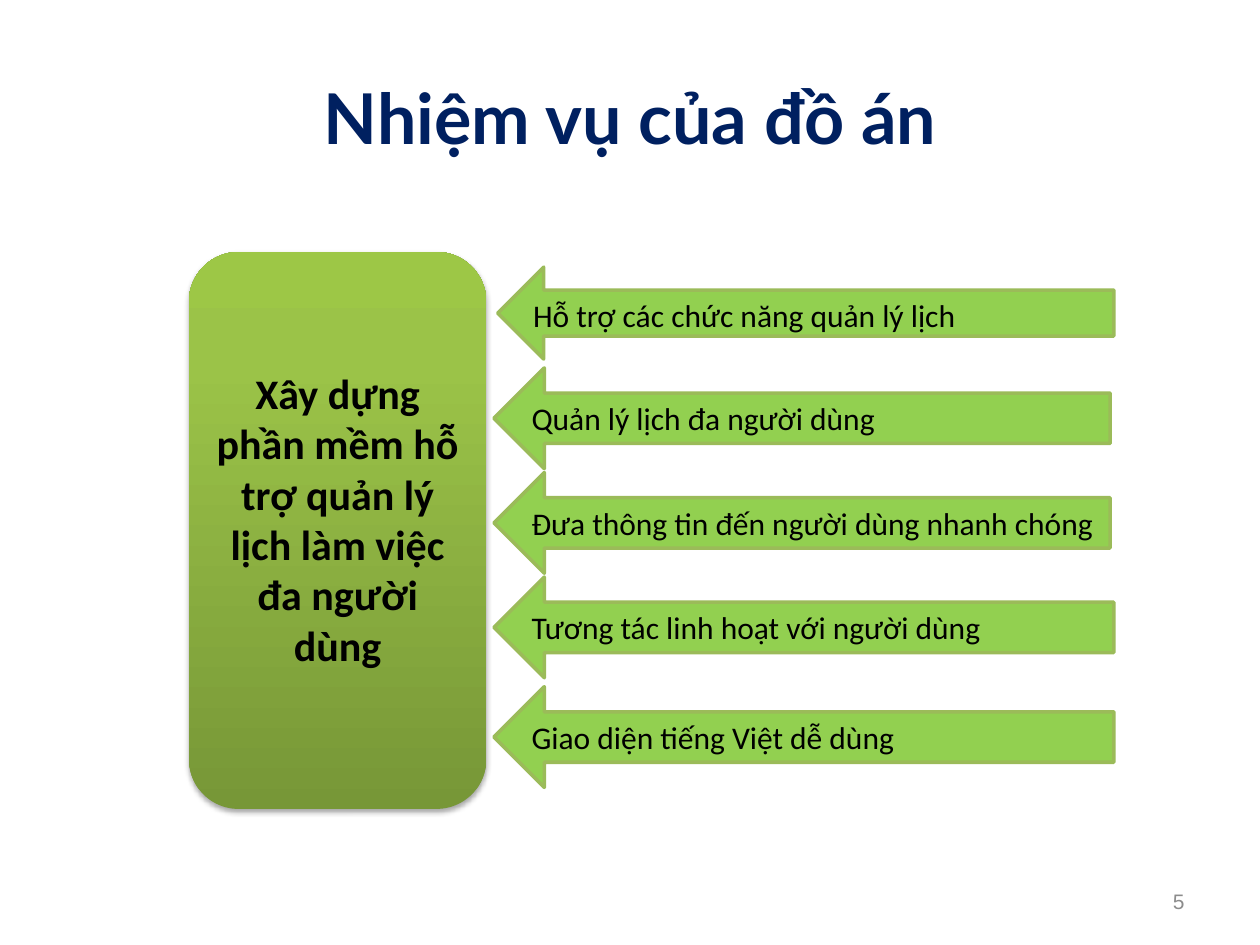
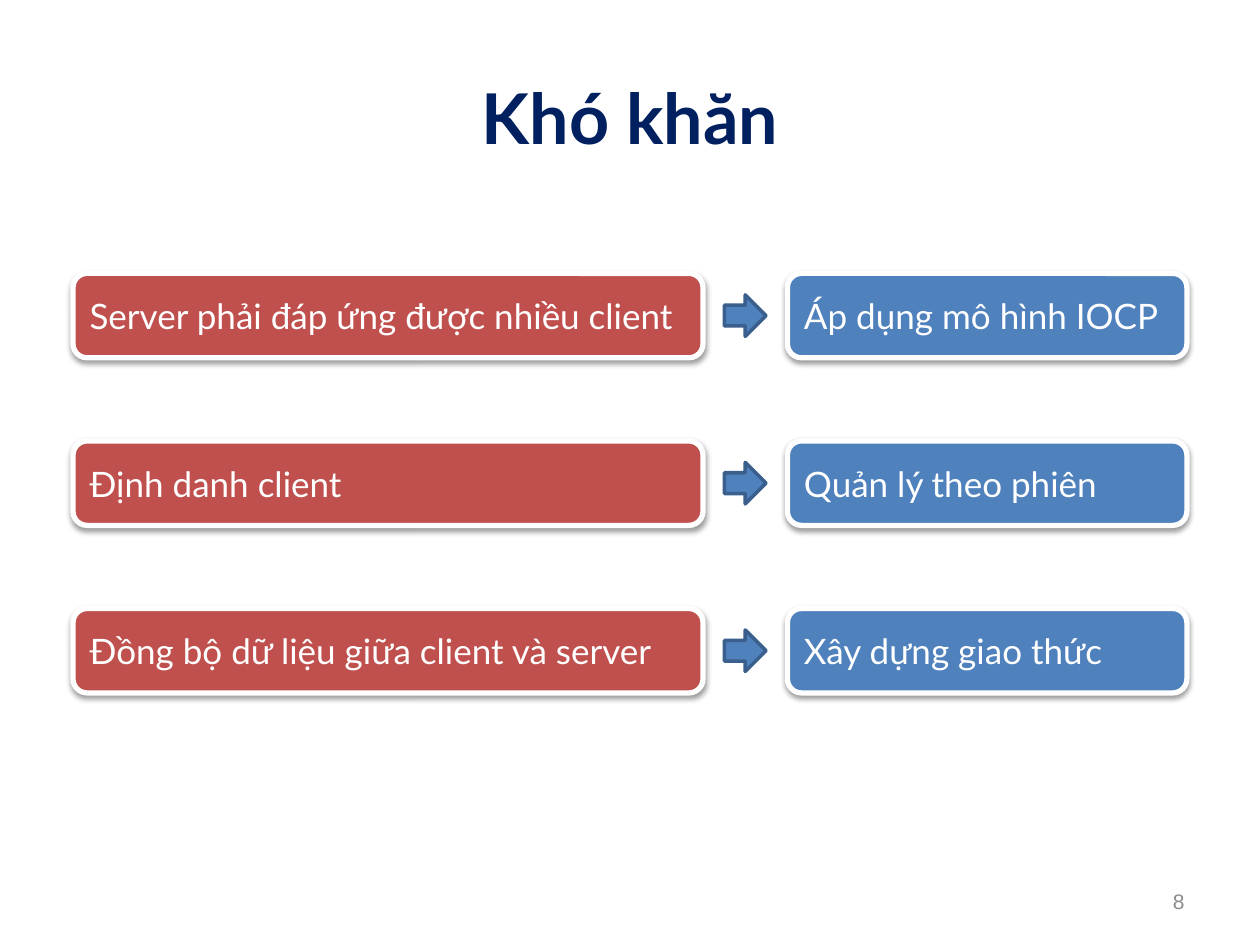
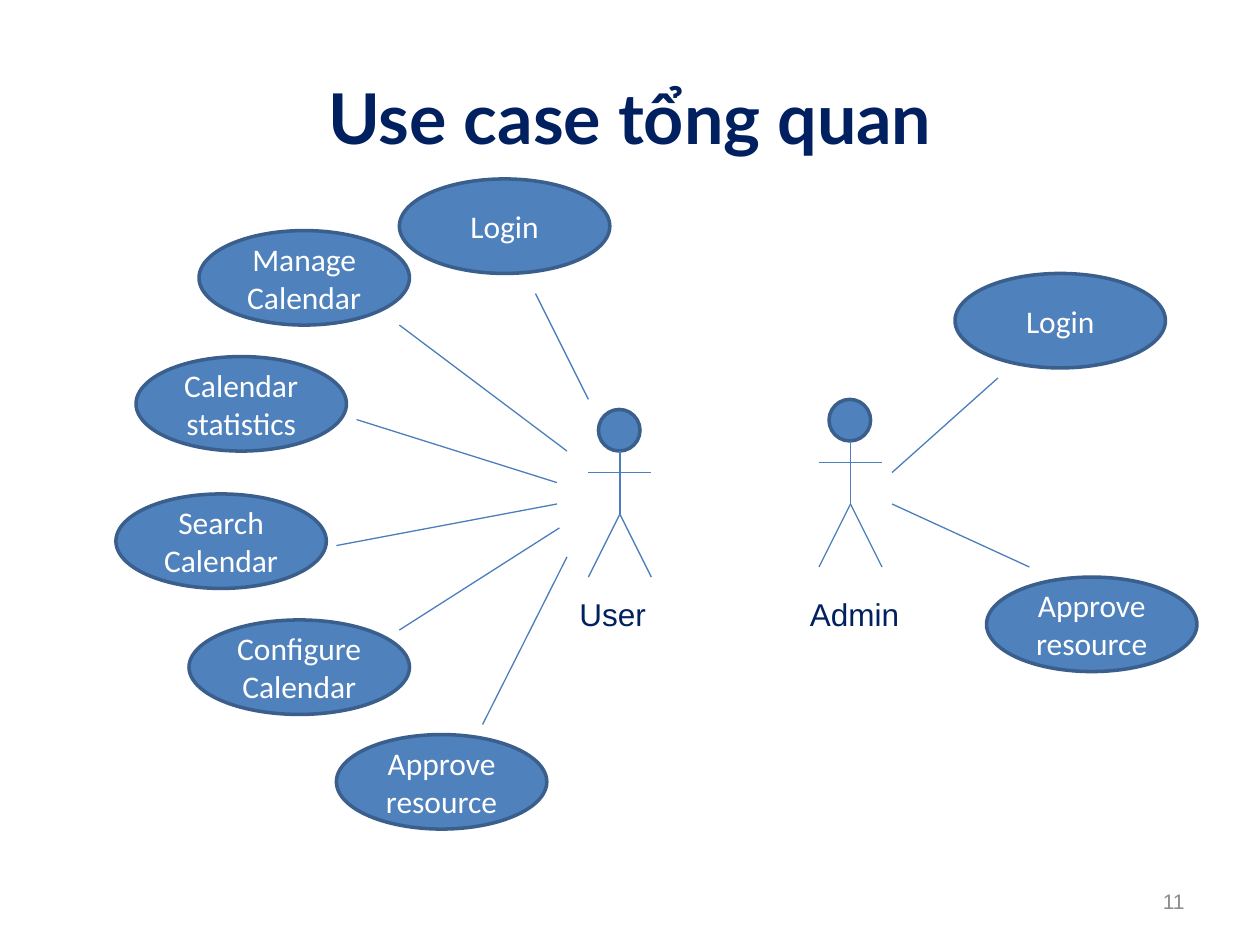
from copy import deepcopy
from dataclasses import dataclass
from typing import NamedTuple

from lxml.etree import SubElement
from pptx import Presentation
from pptx.dml.color import RGBColor
from pptx.enum.shapes import MSO_CONNECTOR, MSO_SHAPE
from pptx.enum.text import MSO_ANCHOR, PP_ALIGN
from pptx.oxml.ns import qn
from pptx.util import Inches, Pt

NAVY = RGBColor(0x00, 0x20, 0x60)
GREY = RGBColor(0x8C, 0x8C, 0x8C)
BLACK = RGBColor(0x00, 0x00, 0x00)
WHITE = RGBColor(0xFF, 0xFF, 0xFF)
BLUE = RGBColor(0x4F, 0x81, 0xBD)
STEEL = RGBColor(0x3A, 0x5F, 0x8C)
WIRE = RGBColor(0x4B, 0x7E, 0xBC)
RED = RGBColor(0xC0, 0x50, 0x4D)
LIME = RGBColor(0x92, 0xD0, 0x50)
OLIVE = RGBColor(0x9B, 0xBB, 0x59)
BLEND = (
    (0, RGBColor(0x77, 0x97, 0x37)),
    (0.8, RGBColor(0x9B, 0xC3, 0x48)),
    (1, RGBColor(0x9D, 0xC7, 0x46)),
)


class Spot(NamedTuple):
    """Left, top, width and height in inches."""

    left: float
    top: float
    width: float
    height: float


class Link(NamedTuple):
    """Start and end of a line in inches."""

    x1: float
    y1: float
    x2: float
    y2: float


class Task(NamedTuple):
    """A goal of the project and its arrow."""

    text: str
    spot: Spot


class Pair(NamedTuple):
    """A problem and its answer."""

    issue: str
    answer: str


@dataclass(frozen=True)
class Case:
    """A use case drawn as an ellipse."""

    text: str
    left: float
    top: float
    width: float = 1.67


@dataclass(frozen=True)
class Actor:
    """A stick figure with its centre, top and label width."""

    name: str
    mid: float
    top: float
    width: float


TASKS = (
    Task("Hỗ trợ các chức năng quản lý lịch", Spot(3.95, 2.12, 4.89, 0.73)),
    Task("Quản lý lịch đa người dùng", Spot(3.92, 2.92, 4.89, 0.8)),
    Task("Đưa thông tin đến người dùng nhanh chóng", Spot(3.92, 3.75, 4.89, 0.8)),
    Task("Tương tác linh hoạt với người dùng", Spot(3.92, 4.58, 4.92, 0.8)),
    Task("Giao diện tiếng Việt dễ dùng", Spot(3.92, 5.45, 4.92, 0.8)),
)
PAIRS = (
    Pair("Server phải đáp ứng được nhiều client", "Áp dụng mô hình IOCP"),
    Pair("Định danh client", "Quản lý theo phiên"),
    Pair("Đồng bộ dữ liệu giữa client và server", "Xây dựng giao thức"),
)
CASES = (
    Case("Manage Calendar", 1.58, 1.83),
    Case("Calendar statistics", 1.08, 2.83),
    Case("Search Calendar", 0.92, 3.92),
    Case("Configure Calendar", 1.5, 4.92, 1.75),
    Case("Approve resource", 2.67, 5.83),
    Case("Login", 3.17, 1.42),
    Case("Approve resource", 7.83, 4.58),
    Case("Login", 7.58, 2.17),
)
ACTORS = (Actor("User", 4.92, 3.25, 0.83), Actor("Admin", 6.75, 3.17, 0.92))
LINKS = (
    Link(3.17, 2.58, 4.5, 3.58),
    Link(2.83, 3.33, 4.42, 3.83),
    Link(2.67, 4.33, 4.42, 4),
    Link(3.17, 5, 4.44, 4.19),
    Link(3.83, 5.75, 4.5, 4.42),
    Link(4.25, 2.33, 4.67, 3.17),
    Link(8.17, 4.5, 7.08, 4),
    Link(7.08, 3.75, 7.92, 3),
)


def write(shape, text: str, *, size: int, font: str = "Calibri",
          color: RGBColor = BLACK, bold: bool = False,
          align: PP_ALIGN = PP_ALIGN.LEFT,
          anchor: MSO_ANCHOR = MSO_ANCHOR.MIDDLE) -> None:
    """Put formatted text into a shape."""
    frame = shape.text_frame
    frame.word_wrap = True
    frame.vertical_anchor = anchor
    line = frame.paragraphs[0]
    line.alignment = align
    run = line.add_run()
    run.text = text
    run.font.size = Pt(size)
    run.font.name = font
    run.font.bold = bold
    run.font.color.rgb = color


def label(slide, spot: Spot, text: str, **style) -> None:
    """Add a text box."""
    write(slide.shapes.add_textbox(*map(Inches, spot)), text, **style)


def block(slide, kind: MSO_SHAPE, spot: Spot, fill: RGBColor | None = None,
          edge: RGBColor | None = None, weight: float = 2):
    """Add a preset shape without a shadow."""
    shape = slide.shapes.add_shape(kind, *map(Inches, spot))
    shape.shadow.inherit = False
    if fill is not None:
        shape.fill.solid()
        shape.fill.fore_color.rgb = fill
    if edge is None:
        shape.line.fill.background()
    else:
        shape.line.color.rgb = edge
        shape.line.width = Pt(weight)
    return shape


def shade(shape, alpha: int, drop: float) -> None:
    """Cast a soft black shadow below a shape."""
    effects = shape._element.spPr.find(qn("a:effectLst"))
    cast = SubElement(effects, qn("a:outerShdw"), blurRad=str(Pt(3.1)),
                      dist=str(Pt(drop)), dir="5400000", rotWithShape="0")
    tint = SubElement(cast, qn("a:srgbClr"), val=str(BLACK))
    SubElement(tint, qn("a:alpha"), val=str(alpha * 1000))


def blend(shape) -> None:
    """Fill a shape with the green gradient, dark at the bottom."""
    shape.fill.gradient()
    shape.fill.gradient_angle = 90
    stops = shape._element.spPr.find(qn("a:gradFill")).find(qn("a:gsLst"))
    stops.append(deepcopy(stops[-1]))
    for stop, (place, color) in zip(shape.fill.gradient_stops, BLEND):
        stop.position = place
        stop.color.rgb = color


def wire(slide, link: Link) -> None:
    """Draw a thin straight line."""
    line = slide.shapes.add_connector(MSO_CONNECTOR.STRAIGHT, *map(Inches, link))
    line.line.color.rgb = WIRE
    line.line.width = Pt(0.75)
    SubElement(line._element.spPr, qn("a:effectLst"))


def panel(slide, spot: Spot, text: str, fill: RGBColor) -> None:
    """Draw a white-edged rounded panel."""
    shape = block(slide, MSO_SHAPE.ROUNDED_RECTANGLE, spot, fill, WHITE, 3)
    shade(shape, 38, 1.6)
    write(shape, text, size=20, font="Lato", color=WHITE)


def figure(slide, actor: Actor) -> None:
    """Draw a stick figure and its name."""
    mid, top = actor.mid, actor.top
    left, right = mid - 0.25, mid + 0.25
    neck, arm, hip, foot = (top + step for step in (0.33, 0.5, 0.83, 1.33))
    block(slide, MSO_SHAPE.FLOWCHART_CONNECTOR,
          Spot(mid - 0.17, top, 0.33, 0.33), BLUE, STEEL)
    for limb in (Link(mid, neck, mid, hip), Link(left, arm, right, arm),
                 Link(mid, hip, left, foot), Link(mid, hip, right, foot)):
        wire(slide, limb)
    label(slide, Spot(mid - 0.42, 4.67, actor.width, 0.4), actor.name,
          size=18, font="Arial", color=NAVY, anchor=MSO_ANCHOR.TOP)


def start(deck, title: str, number: int):
    """Add a slide with its title and number."""
    slide = deck.slides.add_slide(deck.slide_layouts[6])
    label(slide, Spot(0.5, 0.3, 9, 1.25), title, size=40, font="Lato",
          color=NAVY, bold=True, align=PP_ALIGN.CENTER)
    label(slide, Spot(7.17, 6.95, 2.33, 0.4), str(number), size=12,
          font="Arial", color=GREY, align=PP_ALIGN.RIGHT)
    return slide


def goals(deck) -> None:
    """Build the slide of project goals."""
    slide = start(deck, "Nhiệm vụ của đồ án", 5)
    for task in TASKS:
        arrow = block(slide, MSO_SHAPE.LEFT_ARROW, task.spot, LIME, OLIVE)
        write(arrow, task.text, size=18, anchor=MSO_ANCHOR.TOP)
    core = block(slide, MSO_SHAPE.ROUNDED_RECTANGLE, Spot(1.5, 2, 2.36, 4.42))
    blend(core)
    shade(core, 35, 1.8)
    core.text_frame.margin_top = Inches(0.8)
    write(core, "Xây dựng phần mềm hỗ trợ quản lý lịch làm việc đa người dùng",
          size=24, bold=True, align=PP_ALIGN.CENTER, anchor=MSO_ANCHOR.TOP)


def issues(deck) -> None:
    """Build the slide of problems and answers."""
    slide = start(deck, "Khó khăn", 8)
    for row, pair in enumerate(PAIRS):
        top = 2.17 + 1.33 * row
        panel(slide, Spot(0.58, top, 5, 0.67), pair.issue, RED)
        block(slide, MSO_SHAPE.RIGHT_ARROW,
              Spot(5.75, top + 0.17, 0.33, 0.33), BLUE, STEEL)
        panel(slide, Spot(6.25, top, 3.17, 0.67), pair.answer, BLUE)


def cases(deck) -> None:
    """Build the use case slide."""
    slide = start(deck, "Use case tổng quan", 11)
    for actor in ACTORS:
        figure(slide, actor)
    for case in CASES:
        oval = block(slide, MSO_SHAPE.OVAL,
                     Spot(case.left, case.top, case.width, 0.75), BLUE, STEEL)
        write(oval, case.text, size=18, color=WHITE, align=PP_ALIGN.CENTER)
    for link in LINKS:
        wire(slide, link)


def main() -> None:
    """Build and save the slides."""
    deck = Presentation()
    deck.slide_width = Inches(10)
    deck.slide_height = Inches(7.5)
    for build in (goals, issues, cases):
        build(deck)
    deck.save("out.pptx")


if __name__ == "__main__":
    main()
